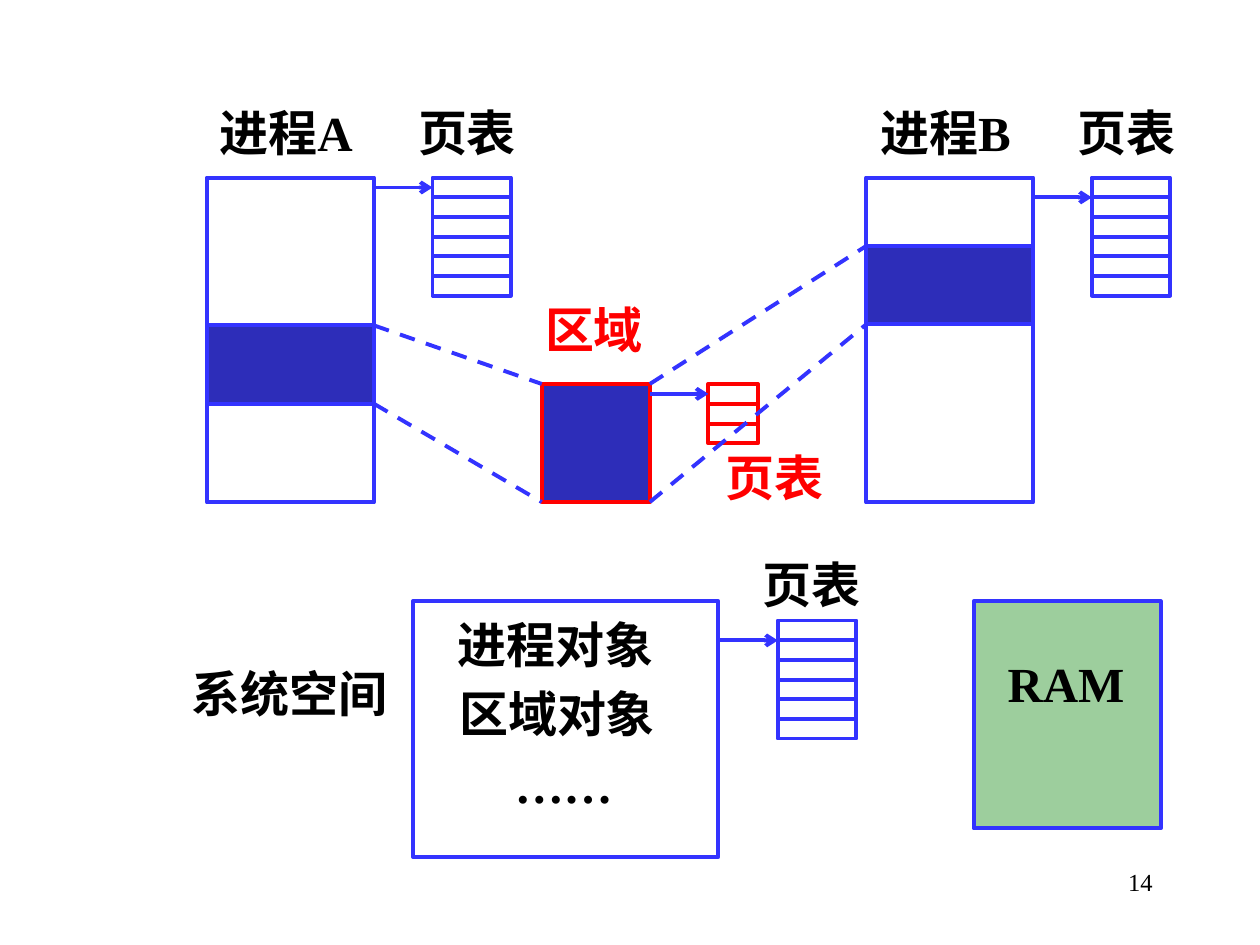
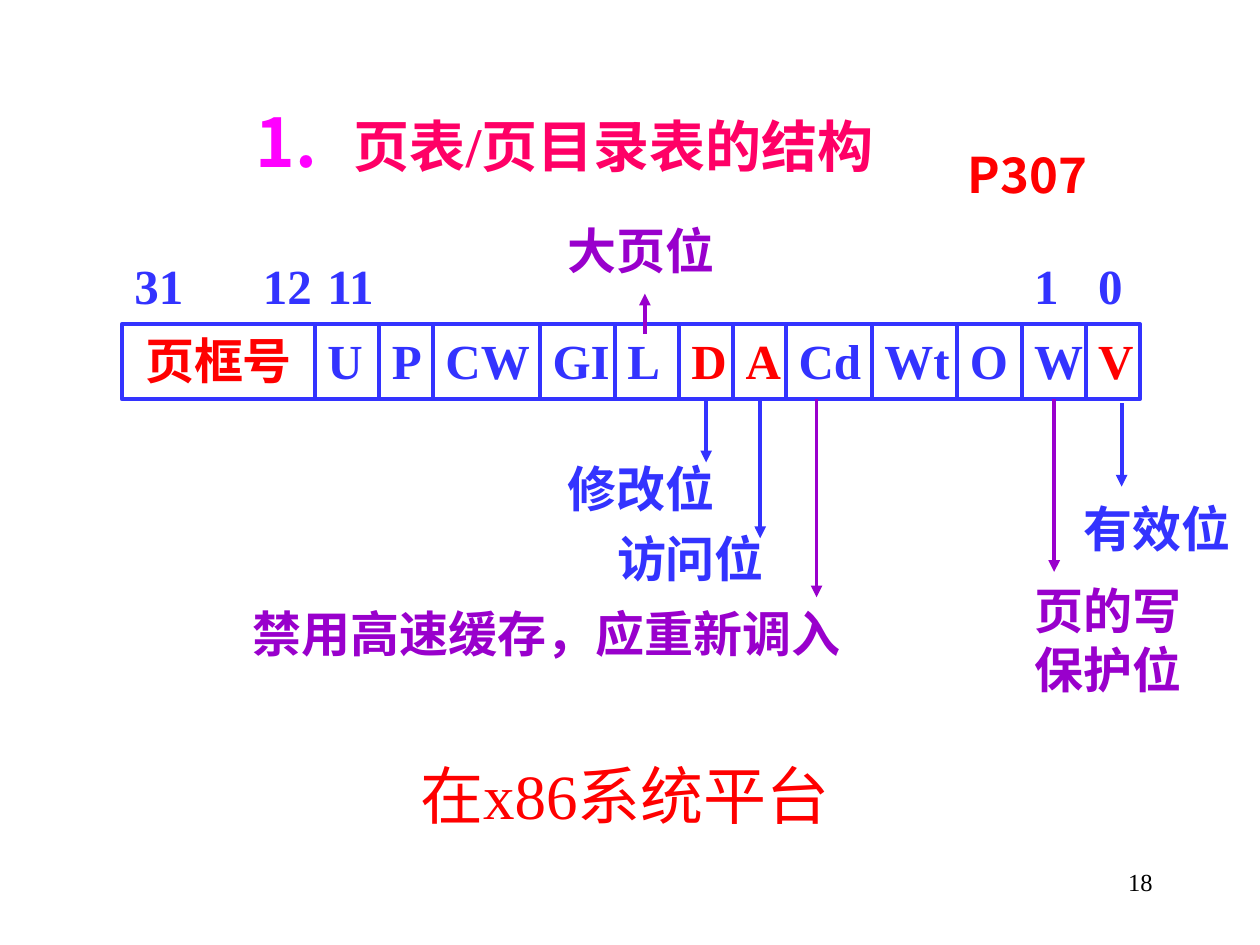
import collections
import dataclasses

import lxml.etree
import pptx
import pptx.dml.color
import pptx.enum.dml
import pptx.enum.shapes
import pptx.enum.text
import pptx.oxml.ns
import pptx.util

Cm = pptx.util.Cm
Pt = pptx.util.Pt
qn = pptx.oxml.ns.qn
Align = pptx.enum.text.PP_ALIGN
Anchor = pptx.enum.text.MSO_ANCHOR
Box = collections.namedtuple("Box", "left top width height")  # centimetres


@dataclasses.dataclass(frozen=True)
class Theme:
    blue: str = "3333FF"
    navy: str = "2D2DB9"
    red: str = "FF0000"
    purple: str = "9900CC"
    pink: str = "FF0066"
    magenta: str = "FF00FF"
    green: str = "339933"
    black: str = "000000"
    white: str = "FFFFFF"
    latin: str = "Times New Roman"
    east_asian: str = "Noto Sans CJK SC"
    label: int = 28
    heading: int = 32
    title: int = 36
    number: int = 14
    line: float = 2.25


THEME = Theme()


# Shared drawing helpers

def rgb(color):
    return pptx.dml.color.RGBColor.from_string(color)


def add_xml(parent, tag, **attributes):
    element = lxml.etree.SubElement(parent, qn(tag))
    for name, value in attributes.items():
        element.set(name, str(value))
    return element


def paint(shape, fill=None, line=None):
    if fill:
        shape.fill.solid()
        shape.fill.fore_color.rgb = rgb(fill)
    else:
        shape.fill.background()
    if line:
        shape.line.color.rgb = rgb(line)
        shape.line.width = Pt(THEME.line)
    else:
        shape.line.fill.background()


def add_rectangle(slide, box, fill=None, line=THEME.blue):
    shape = slide.shapes.add_shape(
        pptx.enum.shapes.MSO_SHAPE.RECTANGLE, *(Cm(length) for length in box))
    shape.shadow.inherit = False
    paint(shape, fill, line)
    return shape


def write(shape, text, color=THEME.black, size=THEME.label, bold=True, align=Align.LEFT,
          spacing=None, wrap=False, grow=True, anchor=Anchor.TOP, font=THEME.latin):
    frame = shape.text_frame
    frame.word_wrap = wrap
    frame.vertical_anchor = anchor
    sizes = pptx.enum.text.MSO_AUTO_SIZE
    frame.auto_size = sizes.SHAPE_TO_FIT_TEXT if grow else sizes.NONE
    frame.text = text
    for paragraph in frame.paragraphs:
        paragraph.alignment = align
        if spacing:
            paragraph.line_spacing = spacing
        for run in paragraph.runs:
            run.font.size = Pt(size)
            run.font.bold = bold
            run.font.name = font
            run.font.color.rgb = rgb(color)
            add_xml(run.font._element, "a:ea", typeface=THEME.east_asian)
    return shape


def add_text(slide, box, text, fill=None, **text_format):
    shape = slide.shapes.add_textbox(*(Cm(length) for length in box))
    paint(shape, fill)
    return write(shape, text, **text_format)


def add_line(slide, start, end, color=THEME.blue, head=None, dashed=False):
    connector = slide.shapes.add_connector(
        pptx.enum.shapes.MSO_CONNECTOR.STRAIGHT, *(Cm(length) for length in (*start, *end)))
    connector.line.color.rgb = rgb(color)
    connector.line.width = Pt(THEME.line)
    if dashed:
        connector.line.dash_style = pptx.enum.dml.MSO_LINE.DASH
    if head:
        add_xml(connector.line._get_or_add_ln(), "a:tailEnd", type=head)
    add_xml(connector._element.spPr, "a:effectLst")
    return connector


def add_slide(presentation, number):
    slide = presentation.slides.add_slide(presentation.slide_layouts[6])
    add_text(slide, Box(18.21, 17.35, 5.28, 1.27), number, size=THEME.number,
             bold=False, align=Align.RIGHT, wrap=True, grow=False)
    return slide


# Slide 14: processes sharing a region

def add_caption(slide, left, top, width, text, color=THEME.black, wrap=False):
    add_text(slide, Box(left, top, width, 1.22), text, color=color,
             align=Align.CENTER, spacing=0.8, wrap=wrap)


def add_page_table(slide, box, owner_right, arrow_drop, rows=6, color=THEME.blue,
                   caption_offset=(-0.56, -1.4)):
    add_rectangle(slide, box, line=color)
    for row in range(1, rows):
        y = box.top + row * box.height / rows
        add_line(slide, (box.left, y), (box.left + box.width, y), color)
    y = box.top + arrow_drop
    add_line(slide, (owner_right, y), (box.left, y), head="arrow")
    caption_color = THEME.black if color == THEME.blue else color
    add_caption(slide, box.left + caption_offset[0], box.top + caption_offset[1], 2.51,
                "页表", caption_color)


def add_process(slide, box, name, region_drop, arrow_drop):
    """Draw a process with its page table; return the box of its mapped region."""
    add_rectangle(slide, box)
    mapped = Box(box.left, box.top + region_drop, box.width, 1.58)
    add_rectangle(slide, mapped, THEME.navy)
    add_caption(slide, box.left, box.top - 1.4, 3.2, name)
    add_page_table(slide, Box(box.left + 4.55, box.top, 1.58, 2.38),
                   box.left + box.width, arrow_drop)
    return mapped


def add_mapping(slide, left_box, right_box):
    x_start = left_box.left + left_box.width
    add_line(slide, (x_start, left_box.top), (right_box.left, right_box.top), dashed=True)
    add_line(slide, (x_start, left_box.top + left_box.height),
             (right_box.left, right_box.top + right_box.height), dashed=True)


def add_system_space(slide, box):
    add_rectangle(slide, box)
    add_caption(slide, box.left - 4.75, box.top + 1.37, 4.52, "系统空间")
    add_caption(slide, box.left + 0.61, box.top + 0.38, 4.52, "进程对象")
    add_caption(slide, box.left + 0.64, box.top + 1.77, 4.52, "区域对象")
    add_caption(slide, box.left + 1.78, box.top + 3.2, 2.51, "……")
    right = box.left + box.width
    add_page_table(slide, Box(right + 1.2, box.top + 0.39, 1.58, 2.38), right, 0.4,
                   caption_offset=(-0.58, -1.22))


def add_ram(slide, box):
    shape = add_rectangle(slide, box, THEME.green)
    color = shape._element.spPr.find(qn("a:solidFill"))[0]
    add_xml(color, "a:alpha", val=48000)
    add_caption(slide, box.left + 0.41, box.top + 1.16, 2.9, "RAM", wrap=True)


def build_sharing_slide(presentation):
    slide = add_slide(presentation, "14")
    add_ram(slide, Box(19.63, 12.12, 3.77, 4.58))
    mapped_a = add_process(slide, Box(4.17, 3.58, 3.37, 6.55), "进程A", 2.98, 0.2)
    mapped_b = add_process(slide, Box(17.46, 3.58, 3.37, 6.55), "进程B", 1.38, 0.4)
    add_system_space(slide, Box(8.33, 12.12, 6.15, 5.16))

    # Shared region and its own page table
    region = Box(10.92, 7.74, 2.18, 2.38)
    add_rectangle(slide, region, THEME.navy, THEME.red)
    add_caption(slide, region.left - 0.2, region.top - 1.6, 2.51, "区域", THEME.red)
    region_right = region.left + region.width
    add_page_table(slide, Box(region_right + 1.18, region.top, 1, 1.2), region_right, 0.2,
                   rows=3, color=THEME.red, caption_offset=(0.08, 1.38))
    add_mapping(slide, mapped_a, region)
    add_mapping(slide, region, mapped_b)


# Slide 18: layout of a page table entry

ENTRY_CELLS = [  # text, left, width, colour, alignment, wrap
    ("页框号", 0, 3.89, THEME.red, Align.CENTER, True),
    ("U", 3.89, 1.3, THEME.blue, Align.LEFT, False),
    ("P", 5.19, 1.19, THEME.blue, Align.LEFT, False),
    ("CW", 6.27, 2.29, THEME.blue, Align.LEFT, False),
    ("GI", 8.43, 1.75, THEME.blue, Align.LEFT, False),
    ("L", 9.94, 1.3, THEME.blue, Align.LEFT, True),
    ("D", 11.23, 1.09, THEME.red, Align.CENTER, True),
    ("A", 12.32, 1.09, THEME.red, Align.CENTER, True),
    ("Cd", 13.39, 1.85, THEME.blue, Align.LEFT, False),
    ("Wt", 15.12, 1.9, THEME.blue, Align.LEFT, False),
    ("O", 16.84, 1.3, THEME.blue, Align.LEFT, True),
    ("W", 18.14, 1.3, THEME.blue, Align.CENTER, True),
    ("V", 19.43, 1.09, THEME.red, Align.CENTER, True),
]
BIT_NUMBERS = [("31", 0, 1.5), ("12", 2.59, 1.5), ("11", 3.89, 1.5),
               ("1", 18.14, 1.02), ("0", 19.43, 1.02)]
BIT_MEANINGS = [  # text, left, top, width, height, colour
    ("大页位", 8.74, -2.21, 4.01, 1.45, THEME.purple),
    ("访问位", 9.73, 3.99, 3.48, 1.45, THEME.blue),
    ("修改位", 8.74, 2.59, 3.48, 1.45, THEME.blue),
    ("有效位", 19.13, 3.4, 3.81, 1.45, THEME.blue),
    ("禁用高速缓存，应重新调入", 2.39, 5.51, 12.42, 1.45, THEME.purple),
    ("页的写\n保护位", 18.14, 5.05, 3.48, 2.62, THEME.purple),
]
JOINED_ARROWS = [("D", 2.79, THEME.blue), ("A", 4.32, THEME.blue), ("W", 5, THEME.purple)]
FREE_ARROWS = [  # x, start y, end y, colour
    (10.54, 0.2, -0.61, THEME.purple),
    (14, 1.52, 5.51, THEME.purple),
    (20.15, 1.6, 3.28, THEME.blue),
]


def add_entry_layout(slide, box):
    cells = {}
    for text, left, width, color, align, wrap in ENTRY_CELLS:
        cell = add_rectangle(slide, Box(box.left + left, box.top, width, box.height), THEME.white)
        cells[text] = write(cell, text, color=color, align=align, wrap=wrap)
    for text, left, width in BIT_NUMBERS:
        add_text(slide, Box(box.left + left, box.top - 1.5, width, 1.45), text, color=THEME.blue)
    for text, left, top, width, height, color in BIT_MEANINGS:
        add_text(slide, Box(box.left + left, box.top + top, width, height), text,
                 fill=THEME.white, color=color)

    # Arrows from bits to their meanings
    for name, end, color in JOINED_ARROWS:
        cell = cells[name]
        x = (cell.left + cell.width / 2) / Cm(1)
        arrow = add_line(slide, (x, box.top + box.height), (x, box.top + end), color, "triangle")
        arrow.begin_connect(cell, 2)
    for x, start, end, color in FREE_ARROWS:
        add_line(slide, (box.left + x, box.top + start), (box.left + x, box.top + end),
                 color, "triangle")


def add_numbered_heading(slide, box, text):
    shape = add_text(slide, box, text, color=THEME.pink, size=THEME.heading, wrap=True)
    properties = shape.text_frame.paragraphs[0]._p.get_or_add_pPr()
    properties.set("marL", str(Cm(1.98)))
    properties.set("indent", str(-Cm(1.98)))
    add_xml(add_xml(properties, "a:buClr"), "a:srgbClr", val=THEME.magenta)
    add_xml(properties, "a:buSzPct", val=120000)
    add_xml(properties, "a:buFont", typeface=THEME.east_asian)
    add_xml(properties, "a:buAutoNum", type="arabicPeriod")


def add_page_reference(slide, box, text):
    shape = add_rectangle(slide, box, THEME.white, THEME.white)
    write(shape, text, color=THEME.red, align=Align.JUSTIFY, wrap=True, grow=False,
          font=THEME.east_asian)
    frame = shape.text_frame
    frame.margin_left = frame.margin_top = frame.margin_right = frame.margin_bottom = 0


def build_entry_slide(presentation):
    slide = add_slide(presentation, "18")
    add_text(slide, Box(6.5, 13.92, 12.19, 4.19), "在x86系统平台", color=THEME.red,
             size=THEME.title, bold=False, align=Align.CENTER, wrap=True, grow=False,
             anchor=Anchor.MIDDLE)
    add_numbered_heading(slide, Box(4.9, 2.13, 16.41, 1.6), "页表/页目录表的结构")
    add_entry_layout(slide, Box(2.46, 6.53, 20.52, 1.52))
    add_page_reference(slide, Box(19.51, 2.92, 2.59, 1.6), "P307")


def main():
    presentation = pptx.Presentation()
    presentation.slide_width = Cm(25.4)
    presentation.slide_height = Cm(19.05)
    build_sharing_slide(presentation)
    build_entry_slide(presentation)
    presentation.save("out.pptx")


if __name__ == "__main__":
    main()
